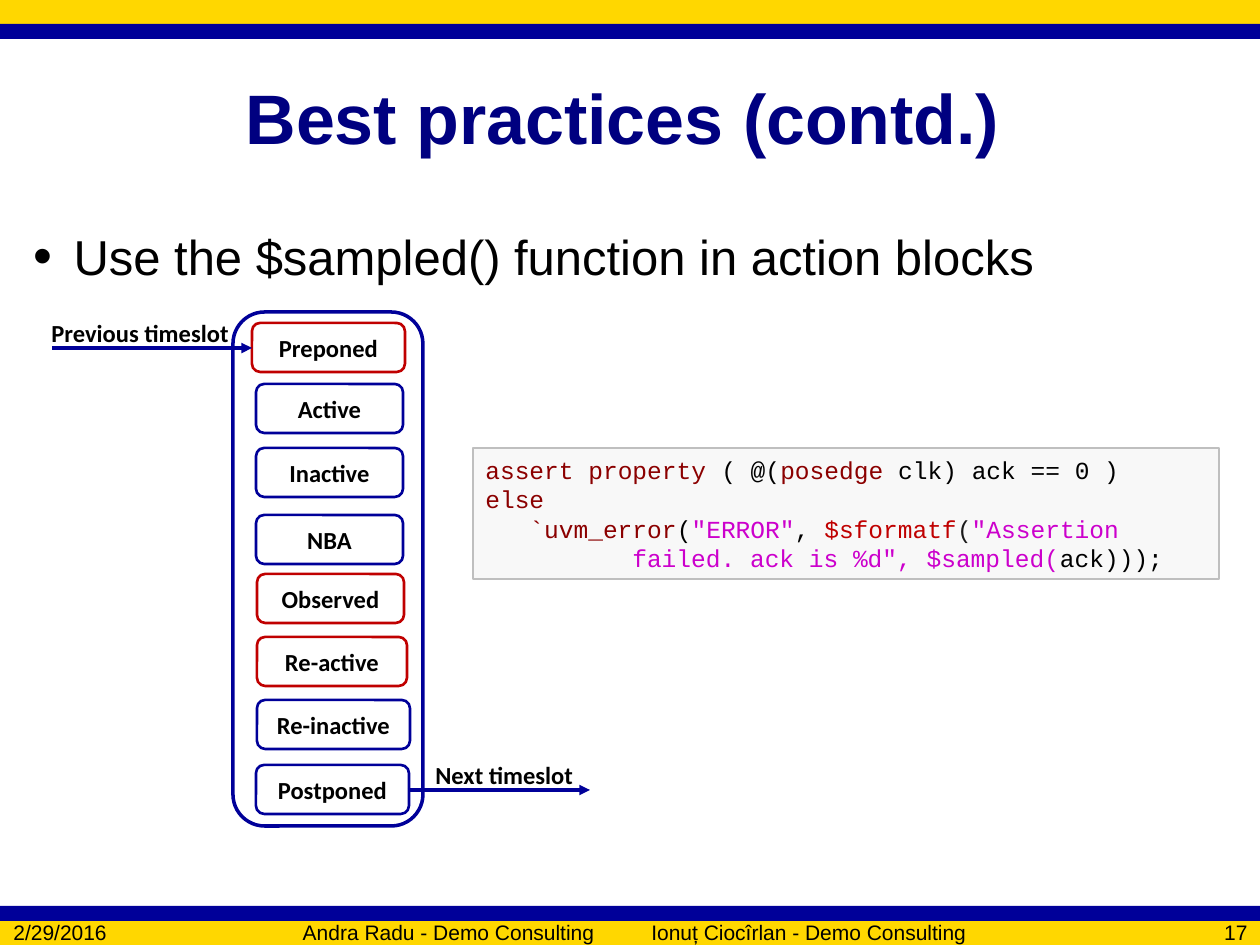
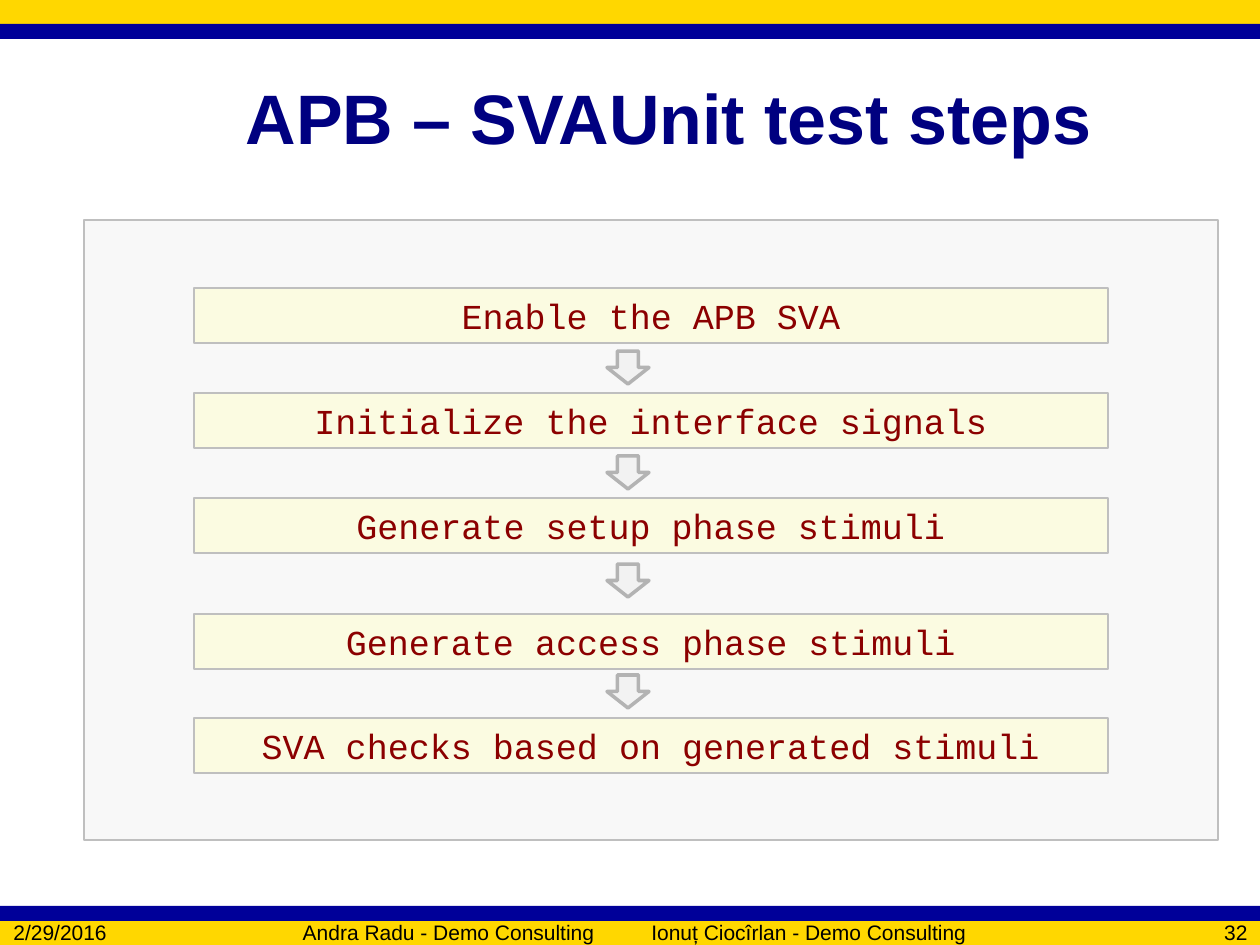
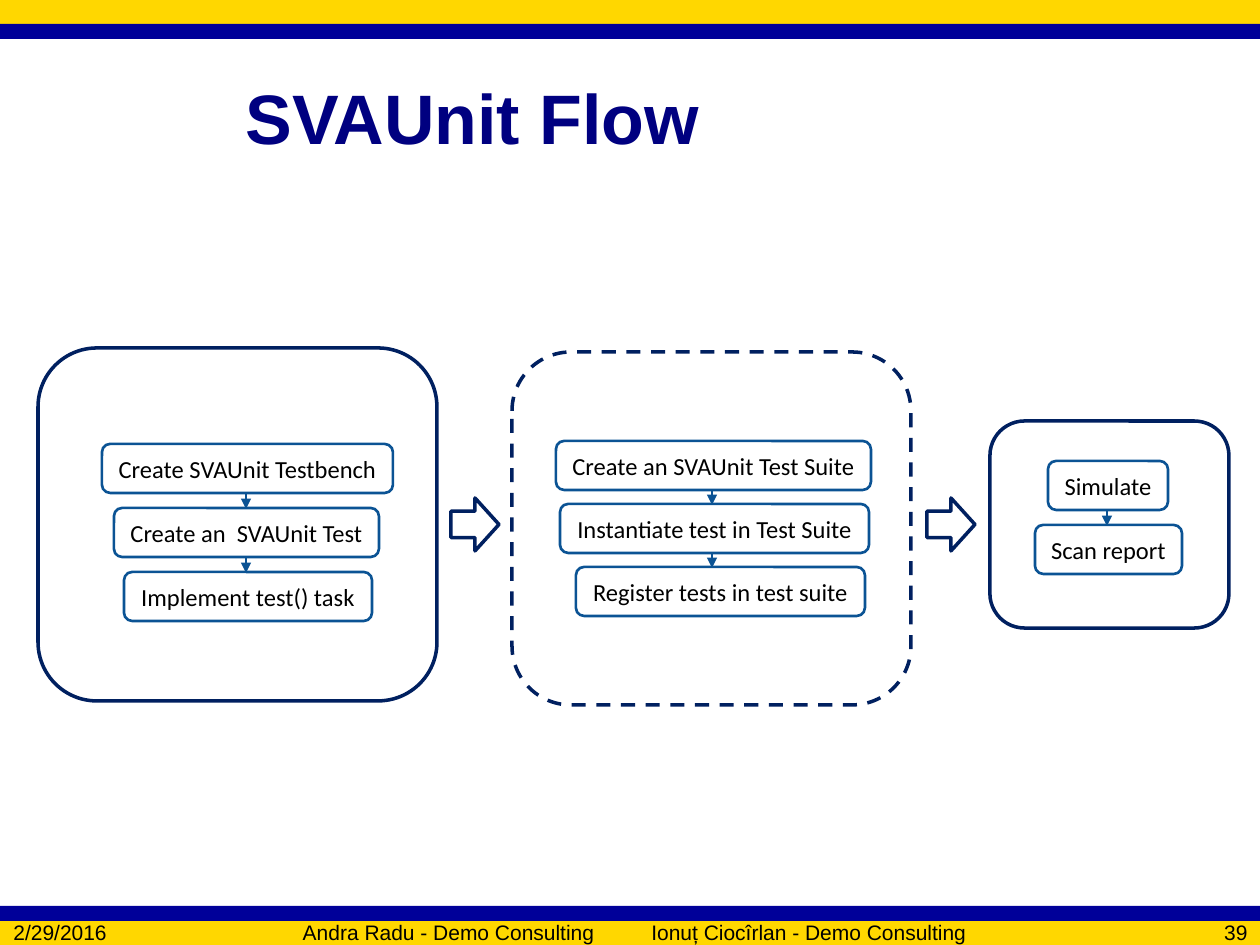
from itertools import pairwise

from lxml import etree
from pptx import Presentation
from pptx.dml.color import RGBColor
from pptx.enum.dml import MSO_LINE
from pptx.enum.shapes import MSO_CONNECTOR, MSO_SHAPE
from pptx.enum.text import MSO_ANCHOR, PP_ALIGN
from pptx.oxml.ns import qn
from pptx.util import Emu, Pt

RECTANGLE = MSO_SHAPE.RECTANGLE
ROUNDED = MSO_SHAPE.ROUNDED_RECTANGLE
DOWN_ARROW = MSO_SHAPE.DOWN_ARROW
RIGHT_ARROW = MSO_SHAPE.RIGHT_ARROW
STRAIGHT = MSO_CONNECTOR.STRAIGHT
DASH = MSO_LINE.DASH
MIDDLE = MSO_ANCHOR.MIDDLE
LEFT, CENTER, RIGHT = PP_ALIGN.LEFT, PP_ALIGN.CENTER, PP_ALIGN.RIGHT

BLACK = RGBColor(0, 0, 0)
WHITE = RGBColor(255, 255, 255)
GOLD = RGBColor(0xFF, 0xD7, 0x00)
BLUE = RGBColor(0x00, 0x00, 0x99)
TITLE_NAVY = RGBColor(0x00, 0x00, 0x80)
FLOW_NAVY = RGBColor(0x00, 0x20, 0x60)
FLOW_BLUE = RGBColor(0x0B, 0x53, 0x94)
RED = RGBColor(0xC0, 0x00, 0x00)
DARK_RED = RGBColor(0x8B, 0x00, 0x00)
MAGENTA = RGBColor(0xCC, 0x00, 0xCC)
CHARCOAL = RGBColor(0x1A, 0x1A, 0x1A)
PALE_GRAY = RGBColor(0xF2, 0xF2, 0xF2)
BORDER_GRAY = RGBColor(0xBF, 0xBF, 0xBF)
ARROW_GRAY = RGBColor(0xB3, 0xB3, 0xB3)
CREAM = RGBColor(0xFF, 0xFF, 0xCC)

SANS, LABEL, CODE = "Arial", "Calibri", "Courier New"
EMU_PER_PX = 914400 / 126
BOX_HEIGHT = 49
CODE_CHARACTER_PT = 8.4

BANDS = [(0, 24, GOLD), (24, 15, BLUE), (921, 24, GOLD), (906, 15, BLUE)]

REGIONS = [
    ("Preponed", 252, 323, 153, RED),
    ("Active", 256, 384, 147, BLUE),
    ("Inactive", 256, 448, 147, BLUE),
    ("NBA", 256, 515, 147, BLUE),
    ("Observed", 257, 574, 147, RED),
    ("Re-active", 257, 637, 150, RED),
    ("Re-inactive", 257, 700, 153, BLUE),
    ("Postponed", 256, 765, 153, BLUE),
]

CODE_LINES = [
    (0, [("assert property ", DARK_RED), ("( @(", BLACK),
         ("posedge ", DARK_RED), ("clk) ack == 0 )", BLACK)]),
    (0, [("else", DARK_RED)]),
    (3, [("`uvm_error", DARK_RED), ("(", BLACK), ('"ERROR"', MAGENTA),
         (", ", BLACK), ("$sformatf", RED), ("(", CHARCOAL),
         ('"Assertion', MAGENTA)]),
    (10, [('failed. ack is %d", $sampled(', MAGENTA), ("ack)));", BLACK)]),
]

TEST_STEPS = [
    ("Enable the APB SVA", 288),
    ("Initialize the interface signals", 393),
    ("Generate setup phase stimuli", 498),
    ("Generate access phase stimuli", 614),
    ("SVA checks based on generated stimuli", 718),
]
STEP_ARROW_TOPS = [351, 456, 564, 675]

FLOW_STAGES = [
    ((38, 348, 399, 353), None, 246,
     [("Create SVAUnit Testbench", 102, 444, 291),
      ("Create an  SVAUnit Test", 114, 508, 265),
      ("Implement test() task", 124, 572, 248)]),
    ((512, 352, 399, 353), DASH, 712,
     [("Create an SVAUnit Test Suite", 556, 441, 315),
      ("Instantiate test in Test Suite", 560, 504, 309),
      ("Register tests in test suite", 576, 567, 289)]),
    ((990, 421, 239, 207), None, 1107,
     [("Simulate", 1048, 461, 120),
      ("Scan report", 1035, 525, 147)]),
]


def px(length):
    return Emu(round(length * EMU_PER_PX))


def place(shape, left, top, width, height):
    shape.left, shape.top = px(left), px(top)
    shape.width, shape.height = px(width), px(height)


def add_run(paragraph, text, font, size, color, bold=False):
    run = paragraph.add_run()
    run.text = text
    run.font.name = font
    run.font.size = Pt(size)
    run.font.bold = bold
    run.font.color.rgb = color


def set_properties(paragraph, margin, indent=0):
    properties = paragraph._p.get_or_add_pPr()
    properties.set("marL", str(margin))
    properties.set("indent", str(indent))
    return properties


def add_box(slide, kind, bounds, fill=None, line=None, weight=0.75,
            opacity=100, dash=None):
    shape = slide.shapes.add_shape(kind, *map(px, bounds))
    shape.shadow.inherit = False
    if fill is None:
        shape.fill.background()
    else:
        shape.fill.solid()
        shape.fill.fore_color.rgb = fill
    if opacity < 100:
        color = shape.element.spPr.find(qn("a:solidFill")).find(qn("a:srgbClr"))
        etree.SubElement(color, qn("a:alpha")).set("val", str(opacity * 1000))
    if line is None:
        shape.line.fill.background()
    else:
        shape.line.color.rgb = line
        shape.line.width = Pt(weight)
        if dash is not None:
            shape.line.dash_style = dash
    return shape


def add_node(slide, text, left, top, width, line, bold=False, wrap=True):
    node = add_box(slide, ROUNDED, (left, top, width, BOX_HEIGHT),
                   WHITE, line, 1.5)
    frame = node.text_frame
    frame.word_wrap = wrap
    frame.margin_left = frame.margin_right = px(14)
    frame.margin_top = frame.margin_bottom = px(7)
    paragraph = frame.paragraphs[0]
    paragraph.alignment = CENTER
    add_run(paragraph, text, LABEL, 14, BLACK, bold)


def add_arrow(slide, start, end, color, weight):
    connector = slide.shapes.add_connector(STRAIGHT, *map(px, start + end))
    connector.line.color.rgb = color
    connector.line.width = Pt(weight)
    properties = connector.element.spPr
    tail = etree.SubElement(properties.find(qn("a:ln")), qn("a:tailEnd"))
    tail.set("type", "triangle")
    etree.SubElement(properties, qn("a:effectLst"))


def add_label(slide, text, bounds, font, size, alignment=LEFT, bold=False):
    label = slide.shapes.add_textbox(*map(px, bounds))
    frame = label.text_frame
    frame.word_wrap = False
    frame.vertical_anchor = MIDDLE
    frame.margin_top = frame.margin_bottom = 0
    paragraph = frame.paragraphs[0]
    paragraph.alignment = alignment
    add_run(paragraph, text, font, size, BLACK, bold)


def add_master_bands(presentation, slide):
    tree = presentation.slide_master.element.cSld.spTree
    for index, (top, height, color) in enumerate(BANDS):
        band = add_box(slide, RECTANGLE, (0, top, 1260, height), color)
        band.element.nvSpPr.cNvPr.id = 20 + index
        tree.insert(2 + index, band.element)


def add_slide(presentation, layout_name, title_text, number):
    layout = presentation.slide_layouts.get_by_name(layout_name)
    slide = presentation.slides.add_slide(layout)
    title = slide.shapes.title
    place(title, 233, 38, 1008, 157)
    title.text_frame.vertical_anchor = MIDDLE
    paragraph = title.text_frame.paragraphs[0]
    paragraph.alignment = LEFT
    add_run(paragraph, title_text, SANS, 40, TITLE_NAVY, True)
    footers = [
        ("2/29/2016", 1, 146, LEFT),
        ("Andra Radu - Demo Consulting", 158, 449, RIGHT),
        ("Ionuț Ciocîrlan - Demo Consulting", 639, 474, LEFT),
        (str(number), 1134, 126, RIGHT),
    ]
    for text, left, width, alignment in footers:
        add_label(slide, text, (left, 921, width, 22), SANS, 12, alignment)
    return slide


def fill_bullet(slide, text):
    body = slide.placeholders[1]
    place(body, 21, 220, 1218, 672)
    paragraph = body.text_frame.paragraphs[0]
    properties = set_properties(paragraph, px(40), -px(40))
    color = etree.SubElement(properties, qn("a:buClr"))
    etree.SubElement(color, qn("a:srgbClr")).set("val", str(BLACK))
    etree.SubElement(properties, qn("a:buSzPct")).set("val", "110000")
    etree.SubElement(properties, qn("a:buChar")).set("char", "•")
    add_run(paragraph, text, SANS, 28, BLACK)


def add_code(slide, bounds, lines):
    panel = add_box(slide, RECTANGLE, bounds, PALE_GRAY, BORDER_GRAY, opacity=50)
    frame = panel.text_frame
    for index, (indent, runs) in enumerate(lines):
        paragraph = frame.add_paragraph() if index else frame.paragraphs[0]
        paragraph.alignment = LEFT
        set_properties(paragraph, Pt(indent * CODE_CHARACTER_PT))
        for text, color in runs:
            add_run(paragraph, text, CODE, 14, color)


def build_practices(slide):
    fill_bullet(slide, "Use the $sampled() function in action blocks")
    add_box(slide, ROUNDED, (233, 312, 190, 514), line=BLUE, weight=2)
    for text, left, top, width, color in REGIONS:
        add_node(slide, text, left, top, width, color, bold=True)
    add_arrow(slide, (52, 348), (252, 348), BLUE, 2)
    add_arrow(slide, (408, 790), (590, 790), BLUE, 2)
    add_label(slide, "Previous timeslot", (39, 311, 204, 43), LABEL, 14, bold=True)
    add_label(slide, "Next timeslot", (423, 753, 165, 43), LABEL, 14, bold=True)
    add_code(slide, (473, 448, 746, 131), CODE_LINES)


def build_test_steps(slide):
    add_box(slide, RECTANGLE, (84, 220, 1134, 620), PALE_GRAY, BORDER_GRAY,
            opacity=50)
    for text, top in TEST_STEPS:
        step = add_box(slide, RECTANGLE, (194, top, 914, 55), CREAM,
                       BORDER_GRAY, opacity=50)
        paragraph = step.text_frame.paragraphs[0]
        paragraph.alignment = CENTER
        add_run(paragraph, text, CODE, 20, DARK_RED)
    for top in STEP_ARROW_TOPS:
        add_box(slide, DOWN_ARROW, (607, top, 42, 33), PALE_GRAY, ARROW_GRAY, 2)


def build_flow(slide):
    for bounds, dash, arrow_x, nodes in FLOW_STAGES:
        add_box(slide, ROUNDED, bounds, line=FLOW_NAVY, weight=2, dash=dash)
        for upper, lower in pairwise(nodes):
            add_arrow(slide, (arrow_x, upper[2] + 46), (arrow_x, lower[2] + 1),
                      FLOW_BLUE, 1.5)
        for text, left, top, width in nodes:
            add_node(slide, text, left, top, width, FLOW_BLUE, wrap=False)
    for left in (451, 927):
        add_box(slide, RIGHT_ARROW, (left, 498, 48, 53), line=FLOW_NAVY, weight=2)


def main():
    presentation = Presentation()
    presentation.slide_width, presentation.slide_height = px(1260), px(945)
    practices = add_slide(presentation, "Title and Content",
                          "Best practices (contd.)", 17)
    add_master_bands(presentation, practices)
    build_practices(practices)
    build_test_steps(add_slide(presentation, "Title Only",
                               "APB – SVAUnit test steps", 32))
    build_flow(add_slide(presentation, "Title Only", "SVAUnit Flow", 39))
    presentation.save("out.pptx")


if __name__ == "__main__":
    main()
